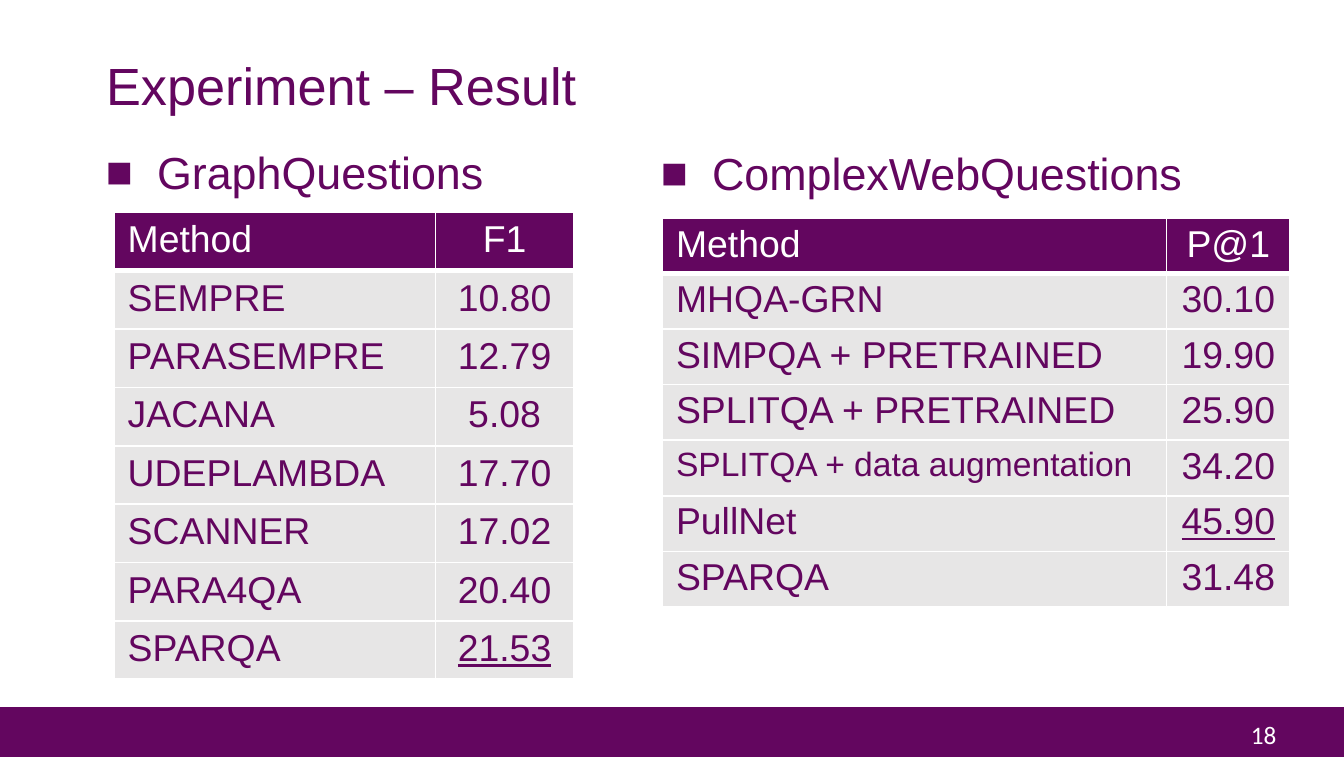
from dataclasses import dataclass

from lxml import etree
from pptx import Presentation
from pptx.dml.color import RGBColor as Rgb
from pptx.enum.shapes import MSO_SHAPE as Shape
from pptx.enum.text import MSO_ANCHOR as Anchor, PP_ALIGN as Align
from pptx.oxml.ns import qn
from pptx.util import Inches, Pt


@dataclass(frozen=True)
class Theme:
    purple: str = "63065F"
    grey: str = "E7E6E6"
    white: str = "FFFFFF"
    font: str = "Arial"
    number_font: str = "Calibri"
    title: float = 28
    heading: float = 24
    cell: float = 20
    small: float = 18
    number: float = 13.5


THEME = Theme()


@dataclass
class Results:
    heading: str
    metric: str
    scores: list
    best: str
    heading_box: tuple
    table_box: tuple  # left, top, row height
    columns: tuple
    margin: float  # above and below cell text
    small: tuple = ()


GRAPH = Results(
    "GraphQuestions", "F1",
    [("SEMPRE", "10.80"), ("PARASEMPRE", "12.79"), ("JACANA", "5.08"),
     ("UDEPLAMBDA", "17.70"), ("SCANNER", "17.02"), ("PARA4QA", "20.40"),
     ("SPARQA", "21.53")],
    best="21.53", heading_box=(0.69, 1.07, 8.62, 3.98),
    table_box=(0.85, 1.58, 0.42), columns=(2.39, 1.03), margin=0.05)

COMPLEX = Results(
    "ComplexWebQuestions", "P@1",
    [("MHQA-GRN", "30.10"), ("SIMPQA + PRETRAINED", "19.90"),
     ("SPLITQA + PRETRAINED", "25.90"), ("SPLITQA + data augmentation", "34.20"),
     ("PullNet", "45.90"), ("SPARQA", "31.48")],
    best="45.90", heading_box=(4.82, 1.08, 4.6, 3.98),
    table_box=(4.93, 1.62, 0.41), columns=(3.75, 0.92), margin=0.04,
    small=("SPLITQA + data augmentation",))


def apply(target, values):
    for name, value in values.items():
        setattr(target, name, value)


def write(frame, text, size, color, font=THEME.font, underline=None, **layout):
    paragraph = frame.paragraphs[0]
    apply(paragraph, layout)
    run = paragraph.add_run()
    run.text = text
    apply(run.font, {"size": Pt(size), "name": font, "underline": underline})
    run.font.color.rgb = Rgb.from_string(color)
    return paragraph


def paint(part, color):
    part.fill.solid()
    part.fill.fore_color.rgb = Rgb.from_string(color)


def add_footer(slide, left, top, width, height):
    band = slide.shapes.add_shape(
        Shape.RECTANGLE, *map(Inches, (left, top, width, height)))
    paint(band, THEME.purple)
    band.line.fill.background()
    band.shadow.inherit = False
    # Page number
    page = slide.shapes.add_textbox(
        *map(Inches, (left + width - 0.79, top + 0.04, 0.43, 0.33)))
    write(page.text_frame, "18", THEME.number, THEME.white, THEME.number_font)


def add_title(slide, text, *box):
    title = slide.shapes.title
    apply(title, dict(zip(("left", "top", "width", "height"), map(Inches, box))))
    title.text_frame.vertical_anchor = Anchor.MIDDLE
    write(title.text_frame, text, THEME.title, THEME.purple,
          alignment=Align.LEFT, line_spacing=0.9)


def add_heading(slide, text, box):
    heading = slide.shapes.add_textbox(*map(Inches, box))
    heading.text_frame.word_wrap = True
    paragraph = write(heading.text_frame, text, THEME.heading, THEME.purple,
                      line_spacing=0.9, space_before=Pt(7.5))
    # Square bullet with hanging indent
    props = paragraph._p.get_or_add_pPr()
    props.set("marL", str(Inches(0.38)))
    props.set("indent", str(-Inches(0.38)))
    bullet_color = etree.SubElement(props, qn("a:buClr"))
    etree.SubElement(bullet_color, qn("a:srgbClr"), val=THEME.purple)
    etree.SubElement(props, qn("a:buFont"), typeface=THEME.font)
    etree.SubElement(props, qn("a:buChar"), char="■")


def add_borders(cell, top, bottom):
    props = cell._tc.get_or_add_tcPr()
    sides = {"lnL": 1, "lnR": 1, "lnT": top, "lnB": bottom}
    for position, (side, points) in enumerate(sides.items()):
        line = etree.Element(qn(f"a:{side}"), w=str(Pt(points)))
        fill = etree.SubElement(line, qn("a:solidFill"))
        etree.SubElement(fill, qn("a:srgbClr"), val=THEME.white)
        props.insert(position, line)


def add_results(slide, results):
    add_heading(slide, results.heading, results.heading_box)
    rows = [("Method", results.metric), *results.scores]
    left, top, row_height = results.table_box
    table = slide.shapes.add_table(
        len(rows), 2, Inches(left), Inches(top),
        Inches(sum(results.columns)), Inches(row_height * len(rows))).table
    for column, width in zip(table.columns, results.columns):
        column.width = Inches(width)
    for r, row in enumerate(rows):
        table.rows[r].height = Inches(row_height)
        header = r == 0
        for c, text in enumerate(row):
            cell = table.cell(r, c)
            apply(cell, {"margin_top": Inches(results.margin),
                         "margin_bottom": Inches(results.margin)})
            paint(cell, THEME.purple if header else THEME.grey)
            add_borders(cell, top=3 if r == 1 else 1, bottom=3 if header else 1)
            write(cell.text_frame, text,
                  THEME.small if text in results.small else THEME.cell,
                  THEME.white if header else THEME.purple,
                  underline=True if text == results.best else None,
                  alignment=Align.CENTER if c else Align.LEFT).font.bold = False


def build():
    deck = Presentation()
    apply(deck, {"slide_width": Inches(10), "slide_height": Inches(5.63)})
    slide = deck.slides.add_slide(deck.slide_layouts.get_by_name("Title Only"))
    add_footer(slide, 0, 5.26, 10, 0.37)
    add_title(slide, "Experiment – Result", 0.69, 0.39, 8.62, 0.54)
    for results in (GRAPH, COMPLEX):
        add_results(slide, results)
    deck.save("out.pptx")


build()
